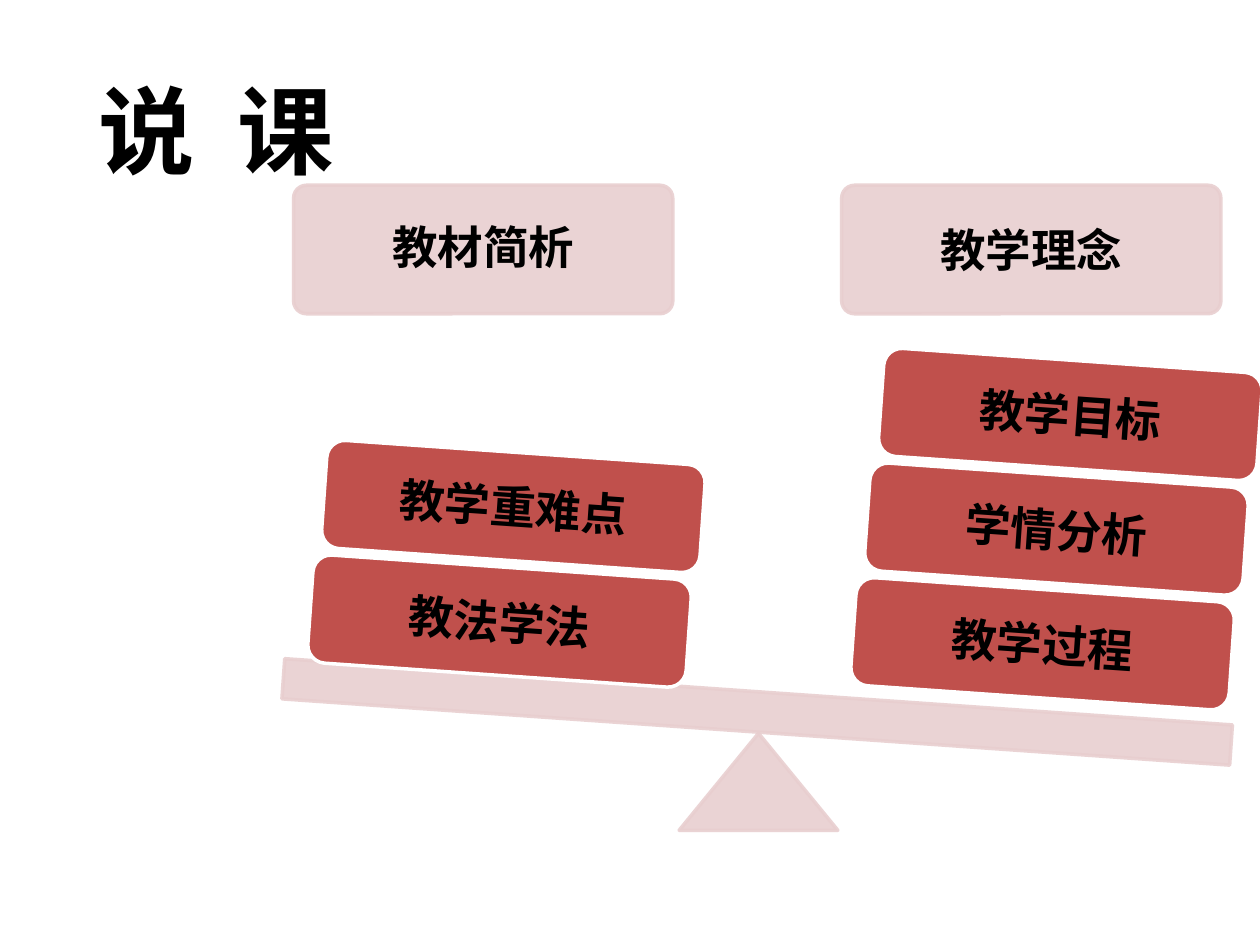
import pptx
import pptx.dml.color
import pptx.enum.shapes
import pptx.enum.text
import pptx.oxml
import pptx.oxml.ns
import pptx.util

Inches = pptx.util.Inches
Pt = pptx.util.Pt
RGBColor = pptx.dml.color.RGBColor
Shape = pptx.enum.shapes.MSO_SHAPE
Align = pptx.enum.text.PP_ALIGN
qn = pptx.oxml.ns.qn

PINK = RGBColor(0xE8, 0xCE, 0xCF)
RED = RGBColor(0xC0, 0x50, 0x4C)
WHITE = RGBColor(0xFF, 0xFF, 0xFF)
BLACK = RGBColor(0x00, 0x00, 0x00)
FONT = "Noto Sans CJK SC"


def write(box, text, size=26, align=Align.CENTER, anchor=pptx.enum.text.MSO_ANCHOR.MIDDLE,
          spacing=None, after=None, margin=None, wrap=False):
    frame = box.text_frame
    frame.word_wrap = wrap
    frame.vertical_anchor = anchor
    if margin is not None:
        frame.margin_left = frame.margin_right = Inches(margin)
        frame.margin_top = frame.margin_bottom = Inches(margin)
    para = frame.paragraphs[0]
    para.alignment = align
    para.line_spacing = spacing
    para.space_after = after
    span = para.add_run()
    span.text = text
    span.font.name = FONT
    span.font.size = Pt(size)
    span.font.bold = True
    span.font.color.rgb = BLACK
    east_asian = pptx.oxml.parse_xml(
        f'<a:ea {pptx.oxml.ns.nsdecls("a")} typeface="{FONT}"/>')
    span.font._element.find(qn("a:latin")).addnext(east_asian)


def add_block(kind, left, top, width, height, fill, line, tilt=0, opacity=None):
    block = page.shapes.add_shape(
        kind, Inches(left), Inches(top), Inches(width), Inches(height))
    block.shadow.inherit = False
    block.rotation = tilt
    block.fill.solid()
    block.fill.fore_color.rgb = fill
    block.line.color.rgb = line
    block.line.width = Pt(2)
    if opacity:
        colors = block._element.spPr.iter(qn("a:srgbClr"))
        for color, percent in zip(list(colors), opacity):
            alpha = pptx.oxml.parse_xml(
                f'<a:alpha {pptx.oxml.ns.nsdecls("a")} val="{percent * 1000}"/>')
            color.append(alpha)
    return block


deck = pptx.Presentation()
deck.slide_width = Inches(10)
deck.slide_height = Inches(7.5)
page = deck.slides.add_slide(deck.slide_layouts[6])

TILT = 4
BLOCK_WIDTH = 3.01
PALE = {"fill": PINK, "line": PINK, "opacity": (89, 87)}

headings = [
    ("教材简析", 2.33, {"spacing": 0.9, "after": Pt(11.4), "margin": 0.14, "wrap": True}),
    ("教学理念", 6.68, {}),
]
for text, left, text_format in headings:
    heading = add_block(Shape.ROUNDED_RECTANGLE, left, 1.47, BLOCK_WIDTH, 1.02, **PALE)
    heading.adjustments[0] = 0.1
    write(heading, text, **text_format)

add_block(Shape.ISOSCELES_TRIANGLE, 5.39, 5.82, 1.26, 0.77, **PALE)
add_block(Shape.RECTANGLE, 2.24, 5.49, 7.54, 0.32, tilt=TILT, **PALE)

stacks = [
    (6.77, 4.68, ["教学过程", "学情分析", "教学目标"]),
    (2.46, 4.5, ["教法学法", "教学重难点"]),
]
for left, top, labels in stacks:
    for level, label in enumerate(labels):
        weight = add_block(Shape.ROUNDED_RECTANGLE, left + 0.11 * level, top - 0.91 * level,
                           BLOCK_WIDTH, 0.86, RED, WHITE, tilt=TILT)
        weight.adjustments[0] = 0.167
        write(weight, label)

title = page.shapes.add_textbox(Inches(0.68), Inches(0.52), Inches(2.07), Inches(1.02))
write(title, "说  课", size=55, align=Align.LEFT, anchor=pptx.enum.text.MSO_ANCHOR.TOP)
title.text_frame.auto_size = pptx.enum.text.MSO_AUTO_SIZE.SHAPE_TO_FIT_TEXT

deck.save("out.pptx")
